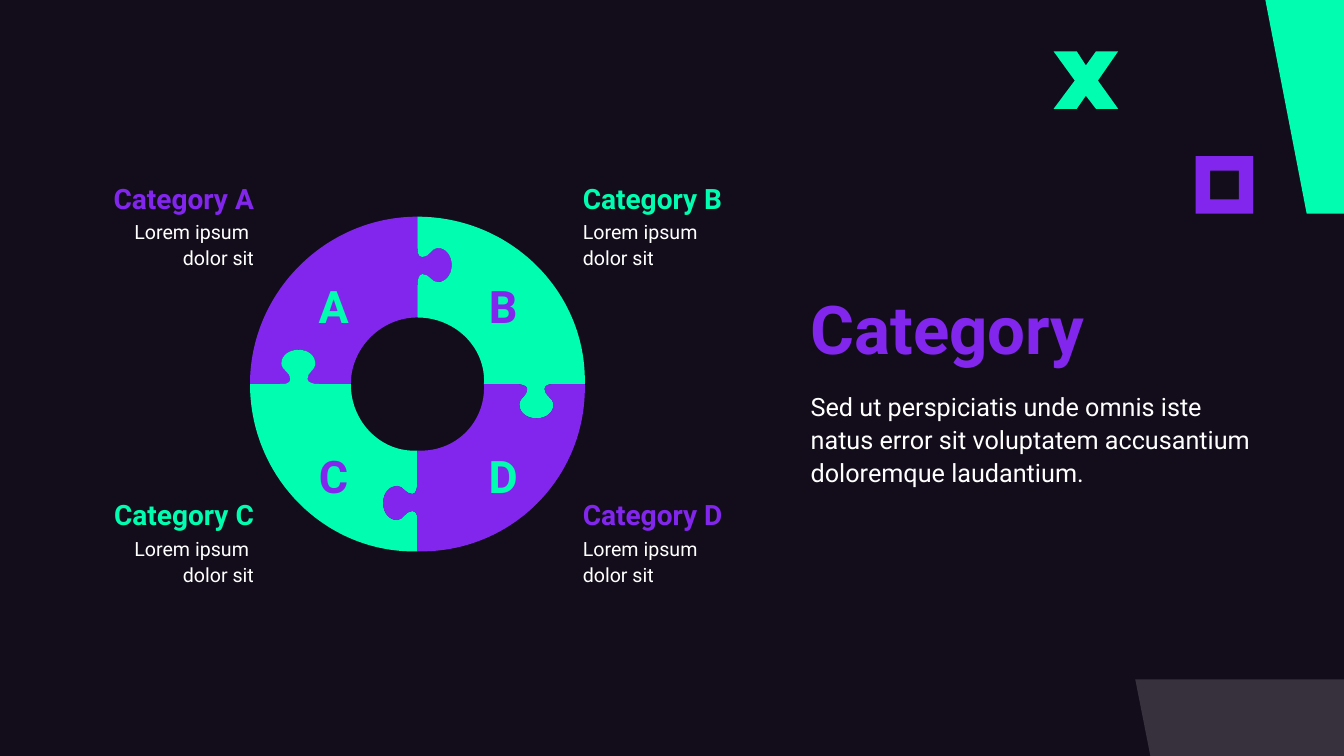
from dataclasses import dataclass
from math import cos, pi, sin

from lxml.etree import SubElement
from pptx import Presentation
from pptx.dml.color import RGBColor
from pptx.enum.shapes import MSO_SHAPE
from pptx.enum.text import MSO_ANCHOR, MSO_AUTO_SIZE, PP_ALIGN
from pptx.oxml.ns import qn
from pptx.util import Pt

PX = 9144  # EMU per px, 100 px to the inch
FONT = "Roboto"
COLORS = {"night": "130D1B", "mint": "01FDB0", "violet": "8226EE", "white": "FFFFFF"}
Point = tuple[float, float]

# Ring geometry: arcs turn about CENTER, seams about HINGE
CENTER, HINGE = (415, 382), (414, 381)
OUTER, INNER = 167, 67
ROUNDNESS = 0.55  # control point distance for a quarter circle

# One seam inwards as (distance from hinge, bulge): a start, then three points a curve
SEAM = [
    (166, 0),
    (155, 0), (145, 0), (138, 0),
    (132, 0), (126, 0), (126, 5),
    (126, 12), (135, 14), (135, 20),
    (135, 28), (128, 34), (118, 34),
    (107, 34), (101, 27), (101, 20),
    (101, 14), (109, 12), (109, 5),
    (109, 1), (102, 0), (97, 0),
    (90, 0), (79, 0), (66, 0),
]


@dataclass
class Category:
    letter: str
    quarter: int  # clockwise from the top right
    column: int
    row: int
    color: str
    letter_color: str


@dataclass
class TextStyle:
    size: int
    color: str
    bold: bool = False
    align: PP_ALIGN = PP_ALIGN.LEFT
    spacing: float | None = 1.1
    anchor: MSO_ANCHOR = MSO_ANCHOR.TOP


CATEGORIES = [
    Category("A", 3, 0, 0, "violet", "mint"),
    Category("B", 0, 1, 0, "mint", "violet"),
    Category("C", 2, 0, 1, "mint", "violet"),
    Category("D", 1, 1, 1, "violet", "mint"),
]
LABEL_COLUMNS = [(66, 186, PP_ALIGN.RIGHT), (578, 182, PP_ALIGN.LEFT)]


def paint(shape, color: str) -> None:
    shape.shadow.inherit = False
    shape.fill.solid()
    shape.fill.fore_color.rgb = RGBColor.from_string(COLORS[color])
    shape.line.fill.background()


def add_outline(page, points: list[Point], color: str):
    corners = [(round(x * PX), round(y * PX)) for x, y in points]
    builder = page.shapes.build_freeform(*corners[0], scale=1.0)
    builder.add_line_segments(corners[1:], close=True)
    shape = builder.convert_to_shape()
    paint(shape, color)
    return shape


def turn_lines_into_curves(shape) -> None:
    """Join every three line segments into one cubic curve."""
    outline = next(shape._element.iter(qn("a:path")))
    lines = outline.findall(qn("a:lnTo"))
    for first in range(0, len(lines), 3):
        curve = outline.makeelement(qn("a:cubicBezTo"))
        lines[first].addprevious(curve)
        for line in lines[first:first + 3]:
            curve.append(line[0])
            outline.remove(line)


def add_text(page, left: int, top: int, width: int, height: int, text: str, style: TextStyle):
    box = page.shapes.add_textbox(left * PX, top * PX, width * PX, height * PX)
    frame = box.text_frame
    frame.word_wrap = True
    frame.vertical_anchor = style.anchor
    frame.margin_left = frame.margin_right = frame.margin_top = frame.margin_bottom = 0
    para = frame.paragraphs[0]
    para.text = text
    para.alignment = style.align
    para.line_spacing = style.spacing
    for span in para.runs:
        span.font.name = FONT
        span.font.size = Pt(style.size)
        span.font.bold = style.bold
        span.font.color.rgb = RGBColor.from_string(COLORS[style.color])
    return box


def place(origin: Point, quarter: int, out: float, bulge: float) -> Point:
    """Point at a distance out from the origin and sideways, clockwise, by bulge."""
    across, down = cos(quarter * pi / 2), sin(quarter * pi / 2)
    return (origin[0] + out * down + bulge * across,
            origin[1] - out * across + bulge * down)


def seam(quarter: int) -> list[Point]:
    return [place(HINGE, quarter, out, bulge) for out, bulge in SEAM]


def arc_controls(radius: int, quarter: int) -> list[Point]:
    pull = radius * ROUNDNESS
    return [place(CENTER, quarter, radius, pull), place(CENTER, quarter, pull, radius)]


def puzzle_piece(quarter: int) -> list[Point]:
    start = seam(quarter)
    return (start[:1] + arc_controls(OUTER, quarter) + seam(quarter + 1)
            + arc_controls(INNER, quarter)[::-1] + start[::-1])


def add_decor(page) -> None:
    add_outline(page, [(1333, 0), (1255, 0), (1296, 212), (1333, 212)], "mint")
    square = page.shapes.add_shape(MSO_SHAPE.FRAME, 1186 * PX, 155 * PX, 57 * PX, 57 * PX)
    square.adjustments[0] = 0.25
    paint(square, "violet")
    add_outline(page, [(1045, 51), (1068, 51), (1077, 65), (1087, 51), (1109, 51), (1089, 80),
                       (1109, 108), (1087, 108), (1077, 95), (1068, 108), (1045, 108),
                       (1066, 80)], "mint")
    corner = add_outline(page, [(1333, 674), (1126, 674), (1141, 750), (1333, 750)], "white")
    fill_color = corner._element.spPr.find(qn("a:solidFill"))[0]
    SubElement(fill_color, qn("a:alpha"), val="15000")


def add_letter(page, category: Category) -> None:
    style = TextStyle(32, category.letter_color, True, PP_ALIGN.CENTER, None)
    box = add_text(page, 306 + 168 * category.column, 272 + 168 * category.row, 50, 64,
                   category.letter, style)
    frame = box.text_frame
    frame.margin_left = frame.margin_right = 10 * PX
    frame.margin_top = frame.margin_bottom = 5 * PX
    frame.word_wrap = False
    frame.auto_size = MSO_AUTO_SIZE.SHAPE_TO_FIT_TEXT


def add_label(page, category: Category) -> None:
    left, width, align = LABEL_COLUMNS[category.column]
    top = 182 + 314 * category.row
    add_text(page, left, top + 34, width, 50, "Lorem ipsum \vdolor sit",
             TextStyle(14, "white", align=align))
    add_text(page, left, top, width, 31, f"Category {category.letter}",
             TextStyle(20, category.color, True, align, anchor=MSO_ANCHOR.BOTTOM))


def main() -> None:
    deck = Presentation()
    deck.slide_width, deck.slide_height = 1333 * PX, 750 * PX
    page = deck.slides.add_slide(deck.slide_layouts[6])
    page.background.fill.solid()
    page.background.fill.fore_color.rgb = RGBColor.from_string(COLORS["night"])
    add_decor(page)

    # Puzzle ring with its letters and labels
    for category in CATEGORIES:
        piece = add_outline(page, puzzle_piece(category.quarter), category.color)
        turn_lines_into_curves(piece)
    for category in CATEGORIES:
        add_letter(page, category)
        add_label(page, category)

    # Heading and introduction
    add_text(page, 804, 164, 471, 202, "Category",
             TextStyle(48, "violet", True, spacing=0.9, anchor=MSO_ANCHOR.BOTTOM))
    add_text(page, 804, 385, 471, 138,
             "Sed ut perspiciatis unde omnis iste \vnatus error sit voluptatem accusantium "
             "\vdoloremque laudantium.", TextStyle(18, "white"))
    deck.save("out.pptx")


if __name__ == "__main__":
    main()
